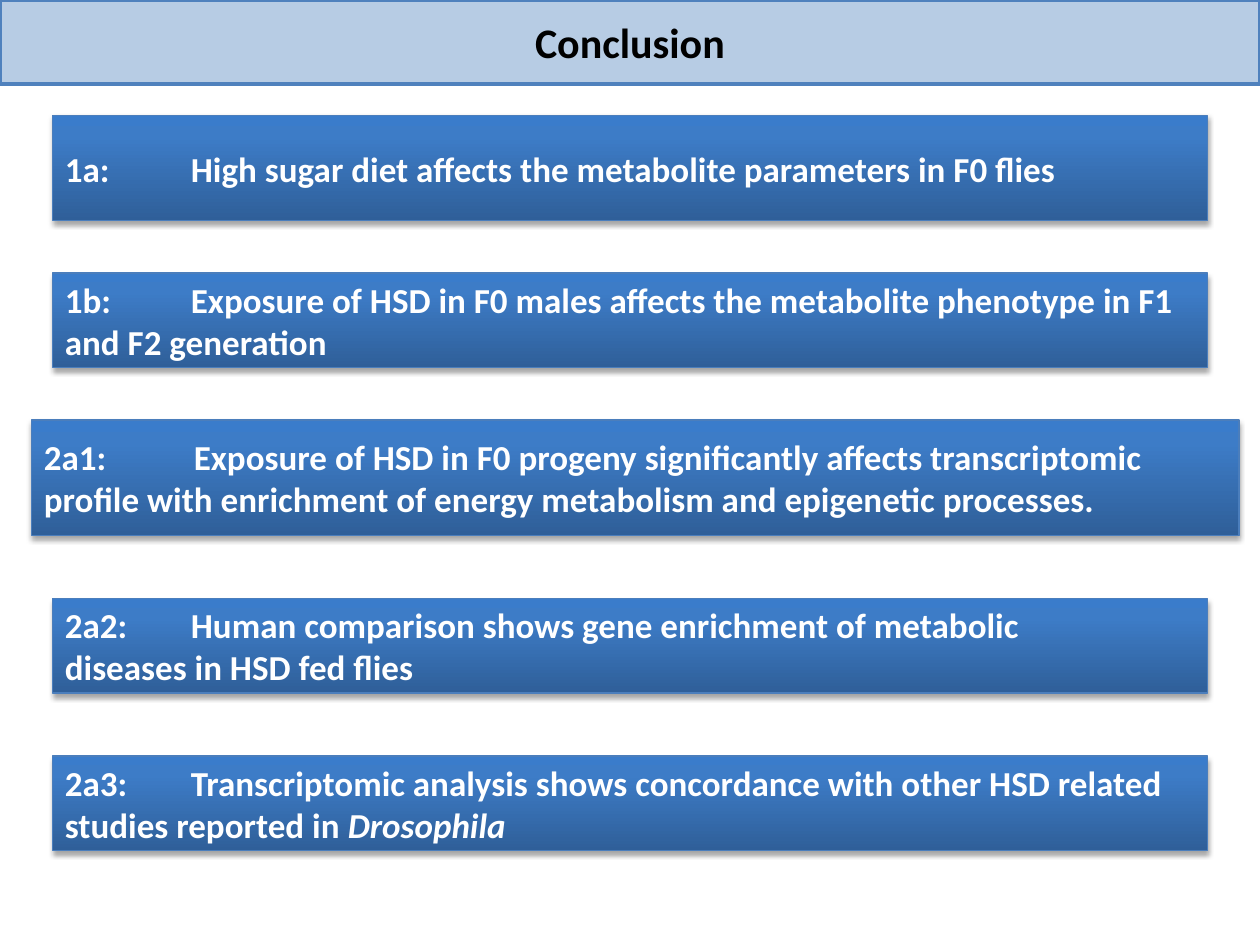
from copy import deepcopy

from lxml.etree import SubElement
from pptx import Presentation
from pptx.dml.color import RGBColor
from pptx.enum.shapes import MSO_SHAPE as Shape
from pptx.enum.text import MSO_ANCHOR as Anchor, PP_ALIGN as Align
from pptx.oxml.ns import qn
from pptx.util import Inches, Pt

COLUMNS, ROWS = 120, 90
WIDTH, HEIGHT = Inches(10), Inches(7.5)
GRADIENT = [(0, "2F5F99"), (0.8, "3D7CC7"), (1, "3A7CCB")]
TITLE_FONT = {"name": "Calibri", "size": Pt(24), "bold": True}
FINDING_FONT = {"name": "Calibri", "size": Pt(20), "bold": True}
NARROW, WIDE = (5, 110), (3, 115)

FINDINGS = [
    (NARROW, (11, 10), 1, "1a:",
     ["High sugar diet affects the metabolite parameters in F0 flies"], ""),
    (NARROW, (26, 9), 1, "1b:",
     ["Exposure of HSD in F0 males affects the metabolite phenotype in F1",
      "and F2 generation"], ""),
    (WIDE, (40, 11), 1.19, "2a1:",
     ["Exposure of HSD in F0 progeny significantly affects transcriptomic",
      "profile with enrichment of energy metabolism and epigenetic processes."], ""),
    (NARROW, (57, 9), 1, "2a2:",
     ["Human comparison shows gene enrichment of metabolic",
      "diseases in HSD fed flies"], ""),
    (NARROW, (72, 9), 1, "2a3:",
     ["Transcriptomic analysis shows concordance with other HSD related",
      "studies reported in "], "Drosophila"),
]


def color(value):
    return RGBColor.from_string(value)


def set_font(font, formats, value):
    for name, setting in formats.items():
        setattr(font, name, setting)
    font.color.rgb = color(value)


def add_bar(slide, box, line_color, line_width):
    left, top, width, height = box
    bar = slide.shapes.add_shape(
        Shape.RECTANGLE,
        WIDTH * left // COLUMNS, HEIGHT * top // ROWS,
        WIDTH * width // COLUMNS, HEIGHT * height // ROWS)
    bar.shadow.inherit = False
    bar.line.color.rgb = color(line_color)
    bar.line.width = Pt(line_width)
    bar.text_frame.word_wrap = True
    bar.text_frame.vertical_anchor = Anchor.MIDDLE
    return bar


def fill_gradient(bar):
    bar.fill.gradient()
    bar.fill.gradient_angle = 90
    stop_list = bar._element.spPr.find(qn("a:gradFill")).find(qn("a:gsLst"))
    stop_list.insert(1, deepcopy(stop_list[0]))
    for stop, (position, value) in zip(bar.fill.gradient_stops, GRADIENT):
        stop.position = position
        stop.color.rgb = color(value)


def cast_shadow(bar):
    effects = bar._element.spPr.find(qn("a:effectLst"))
    shadow = SubElement(effects, qn("a:outerShdw"), blurRad=str(Pt(3.1)),
                        dist=str(Pt(1.8)), dir="5400000", rotWithShape="0")
    black = SubElement(shadow, qn("a:srgbClr"), val="000000")
    SubElement(black, qn("a:alpha"), val="35000")


def add_title(slide, box, text):
    banner = add_bar(slide, box, "4F81BD", 2)
    banner.fill.solid()
    banner.fill.fore_color.rgb = color("B7CCE4")
    heading = banner.text_frame.paragraphs[0]
    heading.text = text
    heading.alignment = Align.CENTER
    set_font(heading.runs[0].font, TITLE_FONT, "000000")


def add_finding(slide, box, indent, label, lines, species):
    bar = add_bar(slide, box, "4B7EBC", 0.75)
    fill_gradient(bar)
    cast_shadow(bar)
    statement = bar.text_frame.paragraphs[0]
    statement.alignment = Align.LEFT
    tabs = SubElement(statement._p.get_or_add_pPr(), qn("a:tabLst"))
    SubElement(tabs, qn("a:tab"), pos=str(Inches(indent)), algn="l")
    statement.add_run().text = f"{label}\t{lines[0]}"
    for line in lines[1:]:
        statement.add_line_break()
        statement.add_run().text = line
    if species:
        name = statement.add_run()
        name.text = species
        name.font.italic = True
    set_font(statement.font, FINDING_FONT, "FFFFFF")
    for run in statement.runs:
        set_font(run.font, FINDING_FONT, "FFFFFF")


def main():
    deck = Presentation()
    deck.slide_width, deck.slide_height = WIDTH, HEIGHT
    slide = deck.slides.add_slide(deck.slide_layouts[6])
    add_title(slide, (0, 0, COLUMNS, 8), "Conclusion")
    for (left, width), (top, height), indent, label, lines, species in FINDINGS:
        add_finding(slide, (left, top, width, height), indent, label, lines, species)
    deck.save("out.pptx")


if __name__ == "__main__":
    main()
